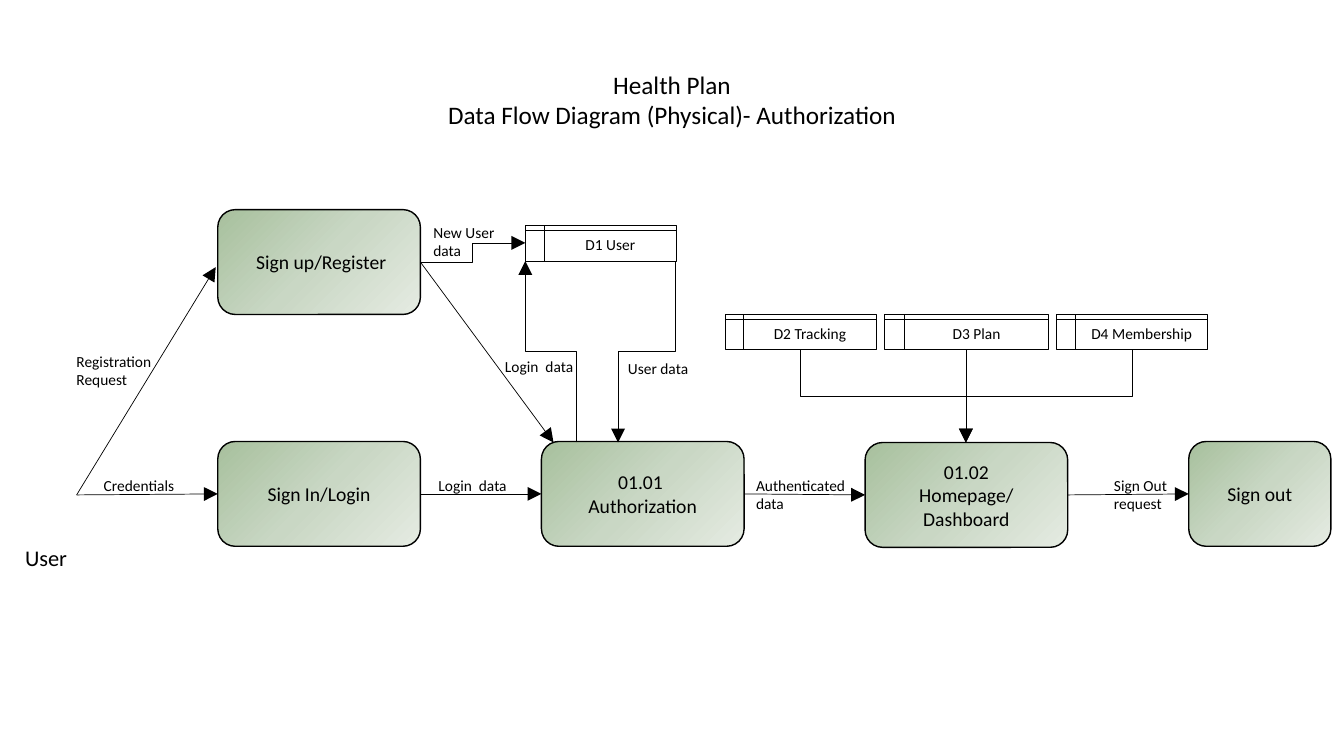
from copy import deepcopy

from lxml import etree
from pptx import Presentation
from pptx.dml.color import RGBColor
from pptx.enum import shapes, text
from pptx.oxml import ns
from pptx.util import Inches, Pt

BLACK = RGBColor(0x00, 0x00, 0x00)
GREENS = [
    (0, RGBColor(0xA7, 0xC0, 0x9D)),
    (0.5, RGBColor(0xC9, 0xD7, 0xC4)),
    (1, RGBColor(0xE5, 0xEB, 0xE2)),
]
CENTER = text.PP_ALIGN.CENTER
LEFT = text.PP_ALIGN.LEFT

deck = Presentation()
deck.slide_width, deck.slide_height = Inches(13.33), Inches(7.5)
page = deck.slides.add_slide(deck.slide_layouts[6])


def write(box, words, size, align, anchor):
    frame = box.text_frame
    frame.word_wrap = True
    frame.vertical_anchor = anchor
    frame.text = words
    for para in frame.paragraphs:
        para.alignment = align
        for span in para.runs:
            span.font.name = "Calibri"
            span.font.size = Pt(size)
            span.font.color.rgb = BLACK


def connect(kind, start, end, arrow=True):
    (x1, y1), (x2, y2) = start, end
    turn = 0
    if kind == "vertical":
        middle_x, middle_y = (x1 + x2) / 2, (y1 + y2) / 2
        down_left = y2 > y1 and x2 < x1
        turn, sign = (90, 1) if down_left else (270, -1)
        half_x, half_y = sign * (y2 - y1) / 2, sign * (x1 - x2) / 2
        x1, y1 = middle_x - half_x, middle_y - half_y
        x2, y2 = middle_x + half_x, middle_y + half_y
    style = shapes.MSO_CONNECTOR.STRAIGHT if kind == "straight" else shapes.MSO_CONNECTOR.ELBOW
    link = page.shapes.add_connector(style, Inches(x1), Inches(y1), Inches(x2), Inches(y2))
    link.line.color.rgb = BLACK
    link.line.width = Pt(0.5)
    properties = link.element.spPr
    if turn:
        properties.xfrm.set("rot", str(turn * 60000))
    if arrow:
        outline = properties.find(ns.qn("a:ln"))
        etree.SubElement(outline, ns.qn("a:tailEnd"), type="triangle", w="lg", len="lg")
    etree.SubElement(properties, ns.qn("a:effectLst"))


processes = [
    ("01.01 \nAuthorization", 5.37, 4.38, 2.01),
    (" Sign up/Register", 2.16, 2.08, 2.01),
    ("01.02\nHomepage/\nDashboard", 8.58, 4.39, 2.01),
    ("Sign out", 11.79, 4.38, 1.41),
    ("Sign In/Login", 2.16, 4.38, 2.01),
]
for words, left, top, width in processes:
    process = page.shapes.add_shape(
        shapes.MSO_SHAPE.ROUNDED_RECTANGLE, Inches(left), Inches(top), Inches(width), Inches(1.04)
    )
    process.shadow.inherit = False
    process.fill.gradient()
    process.fill.gradient_angle = 315
    stops = process.element.spPr.find(".//" + ns.qn("a:gsLst"))
    stops.insert(1, deepcopy(stops[0]))
    for stop, (position, color) in zip(process.fill.gradient_stops, GREENS):
        stop.position = position
        stop.color.rgb = color
    process.line.color.rgb = BLACK
    process.line.width = Pt(1)
    write(process, words, 14, CENTER, text.MSO_ANCHOR.MIDDLE)

stores = [
    ("D1 User", 5.21, 2.24, 1.5),
    ("D2 Tracking", 7.19, 3.12, 1.5),
    ("D3 Plan", 8.77, 3.12, 1.63),
    ("D4 Membership", 10.48, 3.12, 1.5),
]
for words, left, top, width in stores:
    store = page.shapes.add_shape(
        shapes.MSO_SHAPE.FLOWCHART_INTERNAL_STORAGE, Inches(left), Inches(top), Inches(width), Inches(0.35)
    )
    store.shadow.inherit = False
    store.fill.background()
    store.line.color.rgb = BLACK
    store.line.width = Pt(0.5)
    write(store, words, 11, CENTER, text.MSO_ANCHOR.TOP)

flows = [
    ("straight", (0.76, 4.91), (2.14, 2.65)),
    ("straight", (0.76, 4.91), (2.16, 4.9)),
    ("straight", (4.17, 4.9), (5.37, 4.9)),
    ("straight", (7.38, 4.9), (8.58, 4.91)),
    ("straight", (10.59, 4.91), (11.79, 4.9)),
    ("straight", (4.17, 2.6), (5.49, 4.39)),
    ("horizontal", (4.17, 2.6), (5.21, 2.41)),
    ("vertical", (5.72, 4.39), (5.21, 2.59)),
    ("vertical", (6.7, 2.59), (6.13, 4.39)),
    ("vertical", (7.94, 3.47), (9.58, 4.39)),
    ("vertical", (11.23, 3.47), (9.58, 4.39)),
]
for kind, start, end in flows:
    connect(kind, start, end)
connect("straight", (9.58, 3.47), (9.58, 3.94), arrow=False)

labels = [
    ("Health Plan\nData Flow Diagram (Physical)- Authorization", 3.32, 0.64, 6.69, 0.71, 18, CENTER),
    ("User", 0.15, 5.35, 0.64, 0.59, 16, LEFT),
    ("New User data", 4.2, 2.16, 0.84, 0.5, 11, LEFT),
    ("Registration Request", 0.66, 3.44, 1.2, 0.51, 11, LEFT),
    ("Credentials", 0.93, 4.67, 1.12, 0.3, 11, LEFT),
    ("Login  data", 4.25, 4.67, 0.9, 0.3, 11, LEFT),
    ("Login  data", 4.91, 3.49, 0.9, 0.29, 11, LEFT),
    ("User data", 6.13, 3.51, 0.87, 0.29, 11, LEFT),
    ("Authenticated data", 7.4, 4.67, 1.12, 0.5, 11, LEFT),
    ("Sign Out request", 10.95, 4.67, 0.85, 0.47, 11, LEFT),
]
for words, left, top, width, height, size, align in labels:
    label = page.shapes.add_textbox(Inches(left), Inches(top), Inches(width), Inches(height))
    write(label, words, size, align, text.MSO_ANCHOR.TOP)

deck.save("out.pptx")
